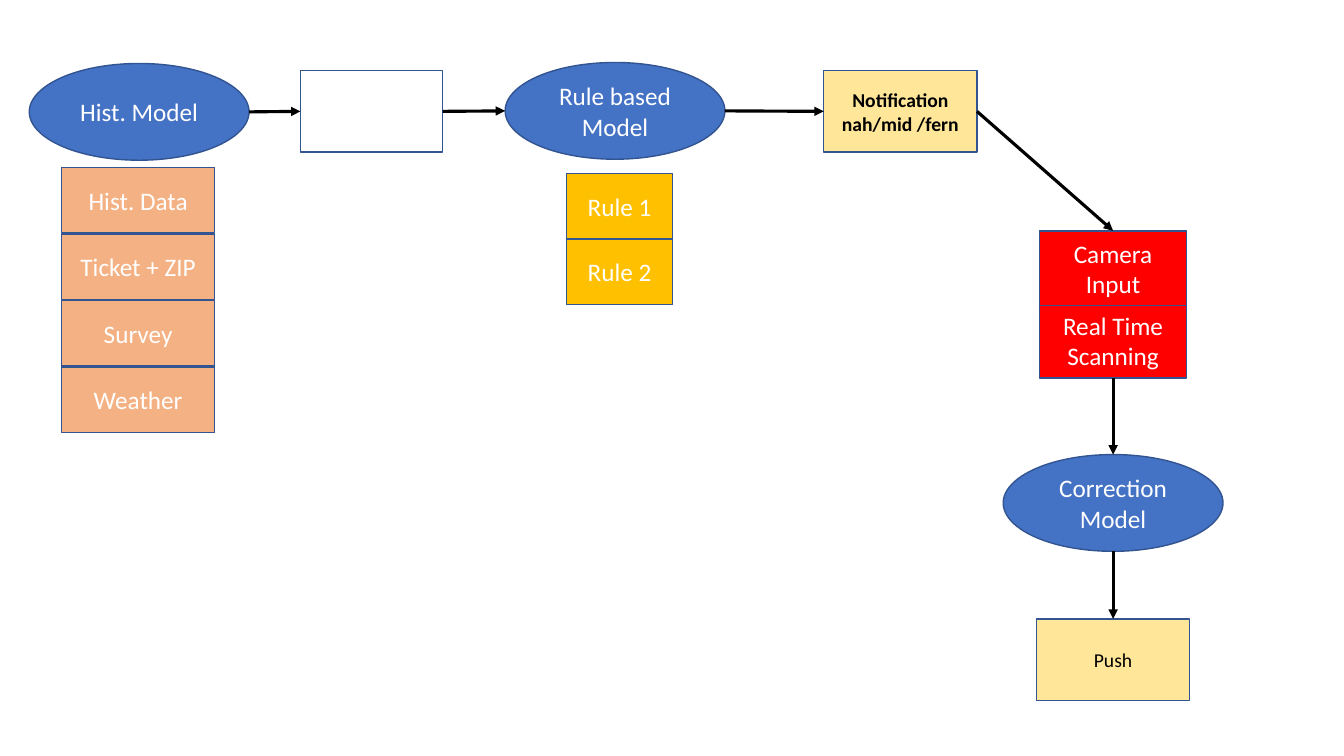
import pptx
import pptx.dml.color
import pptx.enum.shapes
import pptx.enum.text
import pptx.oxml
import pptx.oxml.ns
import pptx.util

Inches = pptx.util.Inches
Pt = pptx.util.Pt
SHAPES = pptx.enum.shapes.MSO_SHAPE
TOP, LEFT, BOTTOM, RIGHT = range(4)

COLOURS = {
    "model": "4472C4",
    "source": "F4B183",
    "rule": "FFC000",
    "message": "FFE699",
    "camera": "FF0000",
    "white": "FFFFFF",
    "black": "000000",
    "outline": "325491",
}


def colour(name):
    return pptx.dml.color.RGBColor.from_string(COLOURS[name])


def add_box(page, text, left, top, width, height, fill,
            kind=SHAPES.RECTANGLE, size=18, ink="white", bold=False):
    box = page.shapes.add_shape(
        kind, Inches(left), Inches(top), Inches(width), Inches(height))
    box.shadow.inherit = False
    box.fill.solid()
    box.fill.fore_color.rgb = colour(fill)
    box.line.color.rgb = colour("outline")
    box.line.width = Pt(1)
    if text:
        frame = box.text_frame
        frame.word_wrap = True
        frame.vertical_anchor = pptx.enum.text.MSO_ANCHOR.MIDDLE
        frame.text = text
        para = frame.paragraphs[0]
        para.alignment = pptx.enum.text.PP_ALIGN.CENTER
        para.font.name = "Calibri"
        para.font.size = Pt(size)
        para.font.bold = bold
        para.font.color.rgb = colour(ink)
    return box


def add_model(page, text, left, top):
    return add_box(page, text, left, top, 2.18, 0.96, "model", SHAPES.OVAL)


def add_message(page, text, left, top, bold=False):
    return add_box(page, text, left, top, 1.52, 0.81, "message",
                   size=14, ink="black", bold=bold)


def add_stack(page, labels, left, top, width, step, fill):
    for index, label in enumerate(labels):
        add_box(page, label, left, top + index * step, width, 0.65, fill)


def side_middle(box, side):
    across = {LEFT: 0, RIGHT: box.width}.get(side, box.width // 2)
    down = {TOP: 0, BOTTOM: box.height}.get(side, box.height // 2)
    return box.left + across, box.top + down


def add_arrow(page, start, start_side, end, end_side):
    arrow = page.shapes.add_connector(
        pptx.enum.shapes.MSO_CONNECTOR.STRAIGHT,
        *side_middle(start, start_side), *side_middle(end, end_side))
    if start.auto_shape_type == SHAPES.RECTANGLE:
        arrow.begin_connect(start, start_side)
    if end.auto_shape_type == SHAPES.RECTANGLE:
        arrow.end_connect(end, end_side)
    arrow.line.color.rgb = colour("black")
    arrow.line.width = Pt(2.25)
    head = pptx.oxml.parse_xml(
        f'<a:tailEnd {pptx.oxml.ns.nsdecls("a")} type="triangle"/>')
    arrow.line._get_or_add_ln().append(head)
    effects = pptx.oxml.parse_xml(
        f'<a:effectLst {pptx.oxml.ns.nsdecls("a")}/>')
    arrow._element.spPr.append(effects)


def main():
    deck = pptx.Presentation()
    deck.slide_width = Inches(13.33)
    deck.slide_height = Inches(7.5)
    page = deck.slides.add_slide(deck.slide_layouts[6])

    history = add_model(page, "Hist. Model", 0.29, 0.63)
    add_stack(page, ["Hist. Data", "Ticket + ZIP", "Survey", "Weather"],
              0.61, 1.66, 1.52, 0.66, "source")
    result = add_box(page, "", 2.98, 0.7, 1.41, 0.81, "white")
    rules = add_model(page, "Rule based Model", 5.01, 0.62)
    add_stack(page, ["Rule 1", "Rule 2"], 5.62, 1.72, 1.05, 0.65, "rule")
    notification = add_message(
        page, "Notification nah/mid /fern", 8.17, 0.7, bold=True)
    scanning = add_box(
        page, "Real Time Scanning", 10.31, 3.01, 1.46, 0.74, "camera")
    camera = add_box(page, "Camera Input", 10.31, 2.29, 1.46, 0.74, "camera")
    correction = add_model(page, "Correction\vModel", 9.95, 4.51)
    push = add_message(page, "Push", 10.28, 6.14)

    add_arrow(page, history, RIGHT, result, LEFT)
    add_arrow(page, result, RIGHT, rules, LEFT)
    add_arrow(page, rules, RIGHT, notification, LEFT)
    add_arrow(page, notification, RIGHT, camera, TOP)
    add_arrow(page, scanning, BOTTOM, correction, TOP)
    add_arrow(page, correction, BOTTOM, push, TOP)

    deck.save("out.pptx")


if __name__ == "__main__":
    main()
